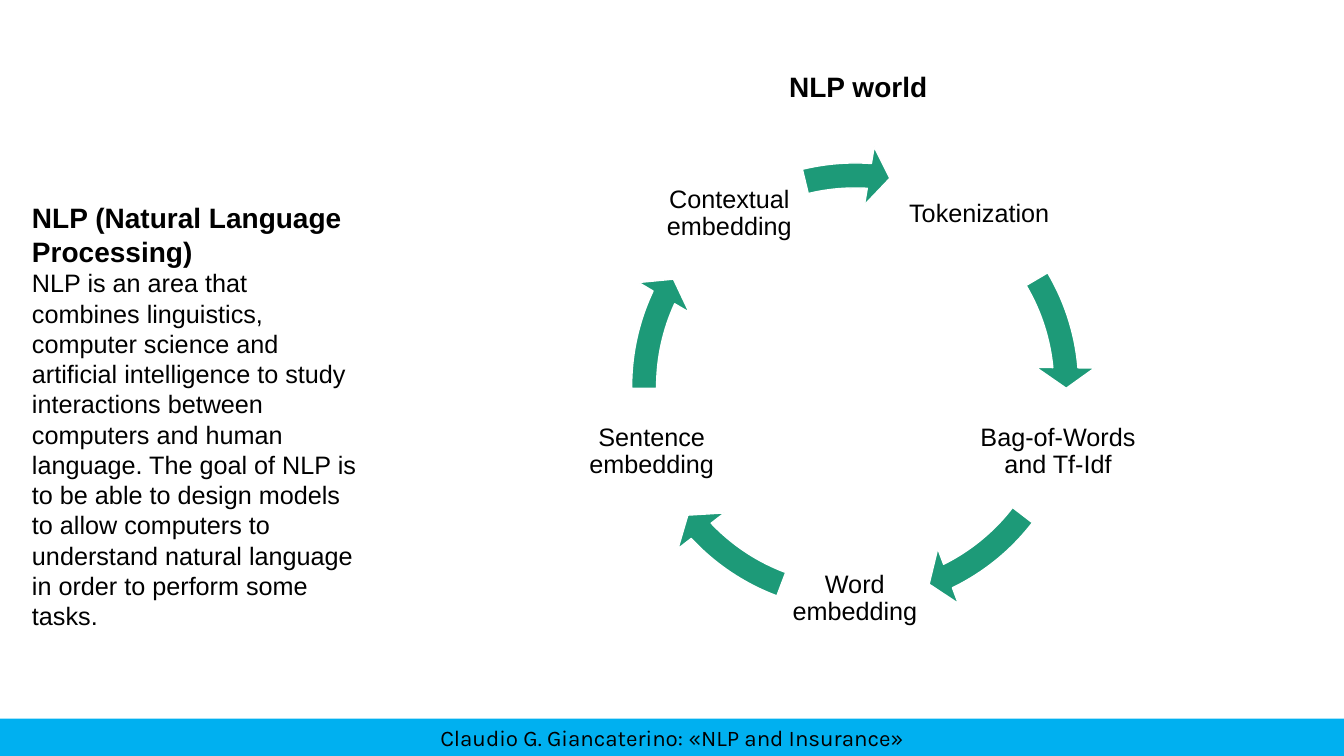
from pptx import Presentation
from pptx.dml.color import RGBColor
from pptx.enum.shapes import MSO_SHAPE as Shape
from pptx.enum.text import MSO_ANCHOR as Anchor, MSO_AUTO_SIZE as AutoSize, PP_ALIGN as Align
from pptx.util import Pt

BLACK = RGBColor(0x00, 0x00, 0x00)
WHITE = RGBColor(0xFF, 0xFF, 0xFF)
BLUE = RGBColor(0x00, 0xB0, 0xF0)
GREEN = RGBColor(0x1D, 0x9A, 0x78)


def write(paragraph, text, size, bold=False, name="Arial", align=Align.LEFT):
    paragraph.alignment = align
    run = paragraph.add_run()
    run.text = text
    run.font.color.rgb = BLACK
    for attribute, value in {"size": Pt(size), "bold": bold, "name": name}.items():
        setattr(run.font, attribute, value)


def set_frame(frame, **values):
    """Set wrapping, anchor, autofit or margins of a text frame."""
    for attribute, value in {"word_wrap": True, **values}.items():
        setattr(frame, attribute, value)


deck = Presentation()
deck.slide_width, deck.slide_height = Pt(960), Pt(540)
slide = deck.slides.add_slide(deck.slide_layouts[5])

# Title above the cycle
title = slide.shapes.title
title.left, title.top, title.width, title.height = Pt(429.8), Pt(46.1), Pt(366.5), Pt(31.5)
set_frame(title.text_frame, vertical_anchor=Anchor.TOP, auto_size=AutoSize.SHAPE_TO_FIT_TEXT)
write(title.text_frame.paragraphs[0], "NLP world", 20, bold=True, align=Align.CENTER)

# Footer bar
footer = slide.shapes.add_shape(Shape.RECTANGLE, 0, Pt(513.4), Pt(960), Pt(26.6))
footer.shadow.inherit = False
footer.fill.solid()
footer.fill.fore_color.rgb = BLUE
footer.line.fill.background()
set_frame(footer.text_frame, auto_size=AutoSize.SHAPE_TO_FIT_TEXT)
write(footer.text_frame.paragraphs[0], "Claudio G. Giancaterino: «NLP and Insurance»", 16,
      name="Karla", align=Align.CENTER)

# Definition on the left
definition = slide.shapes.add_textbox(Pt(15.8), Pt(139.7), Pt(249.1), Pt(361.4)).text_frame
set_frame(definition, auto_size=AutoSize.SHAPE_TO_FIT_TEXT)
write(definition.paragraphs[0], "NLP (Natural Language Processing)", 20, bold=True)
write(
    definition.add_paragraph(),
    "NLP is an area that combines linguistics, computer science and artificial intelligence "
    "to study interactions between computers and human language. The goal of NLP is to be able "
    "to design models to allow computers to understand natural language in order to perform "
    "some tasks.",
    18,
)

# Cycle: label, left, top, width, then end and start angle of the arrow that follows it
STEPS = [
    ("Tokenization", 635, 107.3, 128.9, 212.936, 197.659),
    ("Bag-of-Words and Tf-Idf", 693.4, 277.2, 124.6, 38.34, 22.531),
    ("Word embedding", 557.3, 382.3, 106.6, 82.111, 66.302),
    ("Sentence embedding", 409, 277.2, 113, 122.982, 107.706),
    ("Contextual embedding", 467.3, 107.3, 107.3, 164.306, 153.8),
]
LABEL_HEIGHT = 91.4
RING_LEFT, RING_TOP, RING_SIZE = 439.2, 104.4, 343.4
THICKNESS, HEAD_ANGLE, HEAD_WIDTH = 0.052, 3.358, 0.061
INSETS = {f"margin_{side}": Pt(2.2) for side in ("left", "top", "right", "bottom")}

cycle = slide.shapes.add_group_shape().shapes
for step, left, top, width, end_angle, start_angle in STEPS:
    label = cycle.add_textbox(Pt(left), Pt(top), Pt(width), Pt(LABEL_HEIGHT)).text_frame
    set_frame(label, vertical_anchor=Anchor.MIDDLE, **INSETS)
    label.paragraphs[0].line_spacing = 0.9
    write(label.paragraphs[0], step, 18, align=Align.CENTER)

    arrow = cycle.add_shape(Shape.CIRCULAR_ARROW, Pt(RING_LEFT), Pt(RING_TOP),
                            Pt(RING_SIZE), Pt(RING_SIZE))
    arrow.shadow.inherit = False
    arrow.fill.solid()
    arrow.fill.fore_color.rgb = GREEN
    arrow.line.color.rgb = WHITE
    arrow.line.width = Pt(1)
    for index, value in enumerate([THICKNESS, HEAD_ANGLE, end_angle, start_angle, HEAD_WIDTH]):
        arrow.adjustments[index] = value

deck.save("out.pptx")
